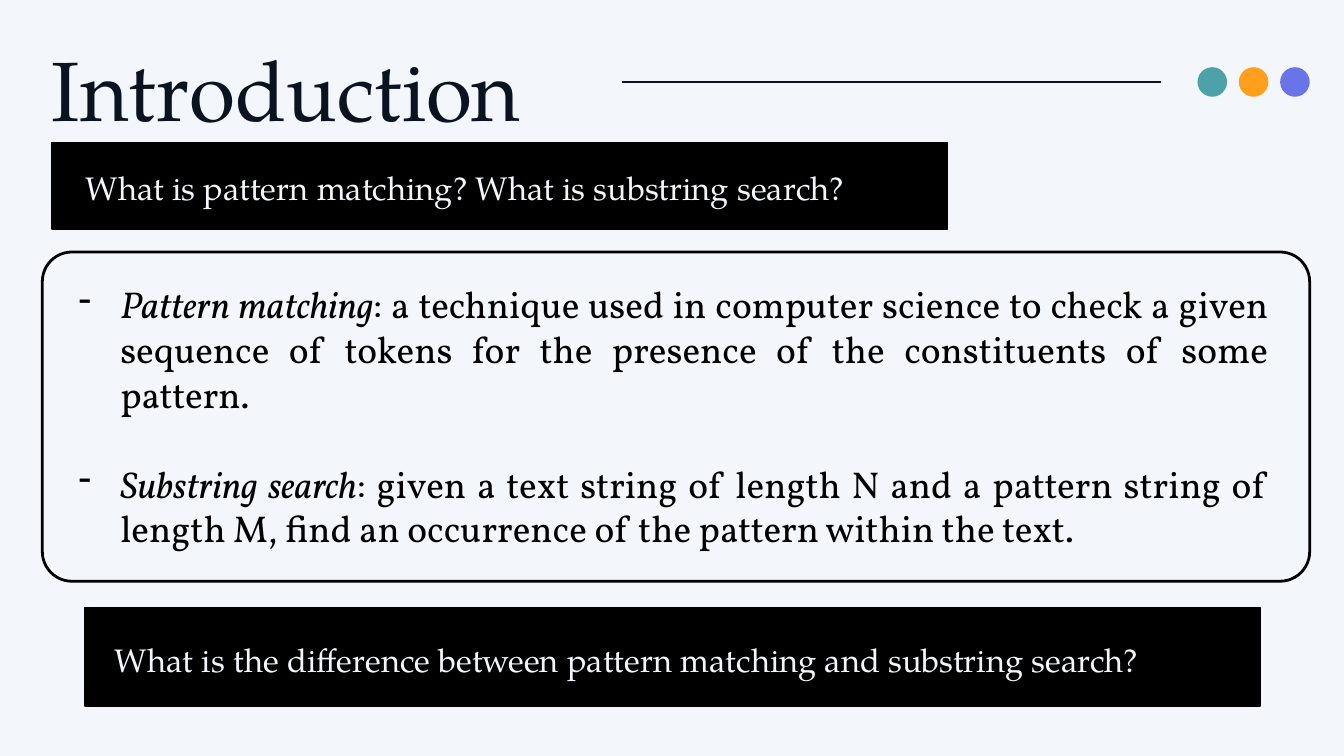
"""Build the introduction slide on pattern matching and substring search."""
from dataclasses import dataclass

from lxml.etree import SubElement
from pptx import Presentation
from pptx.dml.color import RGBColor as RGB
from pptx.enum.shapes import MSO_CONNECTOR as Wire, MSO_SHAPE as Kind
from pptx.enum.text import PP_ALIGN as Align
from pptx.oxml.ns import qn
from pptx.util import Inches, Pt


@dataclass(frozen=True)
class Theme:
    paper: RGB = RGB.from_string("F3F6FA")
    ink: RGB = RGB.from_string("0B1320")
    black: RGB = RGB.from_string("000000")
    dots: tuple = ("4DA1A9", "FF9F1C", "6874E8")
    serif: str = "TeX Gyre Pagella"
    body: str = "Vollkorn"
    title: Pt = Pt(90)
    prompt: Pt = Pt(35)
    text: Pt = Pt(40)
    gap: Pt = Pt(48)
    thin: Pt = Pt(2)
    thick: Pt = Pt(3)


def add_shape(kind, box, fill=None, line=None, width=None):
    """Add a flat shape; a missing fill or line is left empty."""
    shape = slide.shapes.add_shape(kind, *map(Inches, box))
    shape.shadow.inherit = False
    for part, color in ((shape.fill, fill), (shape.line.fill, line)):
        if color is None:
            part.background()
        else:
            part.solid()
            part.fore_color.rgb = color
    if width:
        shape.line.width = width
    return shape


def add_frame(box):
    """Add a wrapping text box without margins and return its frame."""
    frame = slide.shapes.add_textbox(*map(Inches, box)).text_frame
    margins = dict.fromkeys(("left", "top", "right", "bottom"), 0)
    for side, value in margins.items():
        setattr(frame, f"margin_{side}", value)
    frame.word_wrap = True
    return frame


theme = Theme()
deck = Presentation()
deck.slide_width, deck.slide_height = Inches(20), Inches(11.25)
slide = deck.slides.add_slide(deck.slide_layouts[6])
slide.background.fill.solid()
slide.background.fill.fore_color.rgb = theme.paper

for box in ((0.77, 2.12, 13.33, 1.29), (1.27, 9.04, 17.48, 1.47)):
    add_shape(Kind.RECTANGLE, box, theme.black, theme.black, theme.thin)

border = add_shape(Kind.ROUNDED_RECTANGLE, (0.63, 3.75, 18.86, 4.9),
                   line=theme.black, width=theme.thick)
border.adjustments[0] = 0.09

rule = slide.shapes.add_connector(
    Wire.STRAIGHT, *map(Inches, (9.25, 1.22, 17.27, 1.22)))
rule.line.color.rgb = theme.ink
rule.line.width = theme.thick
SubElement(rule._element.spPr, qn("a:effectLst"))

for i, color in enumerate(theme.dots):
    add_shape(Kind.OVAL, (17.82 + 0.615 * i, 1, 0.44, 0.44), RGB.from_string(color))

lines = (
    ("Introduction", (0.77, 0.26, 10.26, 1.82), theme.title, theme.ink, 1.2),
    ("What is pattern matching? What is substring search?",
     (1.27, 2.33, 12.68, 0.77), theme.prompt, theme.paper, 1.3),
    ("What is the difference between pattern matching and substring search?",
     (1.71, 9.35, 18, 0.77), theme.prompt, theme.paper, 1.3),
)
for words, box, size, color, pitch in lines:
    para = add_frame(box).paragraphs[0]
    para.line_spacing = pitch
    run = para.add_run()
    run.text = words
    run.font.color.rgb = color
    for key, value in {"name": theme.serif, "size": size}.items():
        setattr(run.font, key, value)

terms = (
    ("Pattern matching", ": a technique used in computer science to check a given "
     "sequence of tokens for the presence of the constituents of some pattern."),
    ("Substring search", ": given a text string of length N and a pattern string of "
     "length M, find an occurrence of the pattern within the text."),
)
frame = add_frame((1.17, 4.19, 17.71, 4.04))
for i, (term, meaning) in enumerate(terms):
    para = frame.add_paragraph() if i else frame.paragraphs[0]
    props = para._p.get_or_add_pPr()
    props.set("marL", str(Inches(0.62)))
    props.set("indent", str(Inches(-0.62)))
    tint = SubElement(props, qn("a:buClr"))
    SubElement(tint, qn("a:srgbClr"), val=str(theme.black))
    SubElement(props, qn("a:buChar"), char="-")
    para.alignment = Align.JUSTIFY
    if i:
        para.space_before = theme.gap
    for words, slant in ((term, True), (meaning, False)):
        run = para.add_run()
        run.text = words
        run.font.color.rgb = theme.black
        look = {"name": theme.body, "size": theme.text, "italic": slant}
        for key, value in look.items():
            setattr(run.font, key, value)

deck.save("out.pptx")
